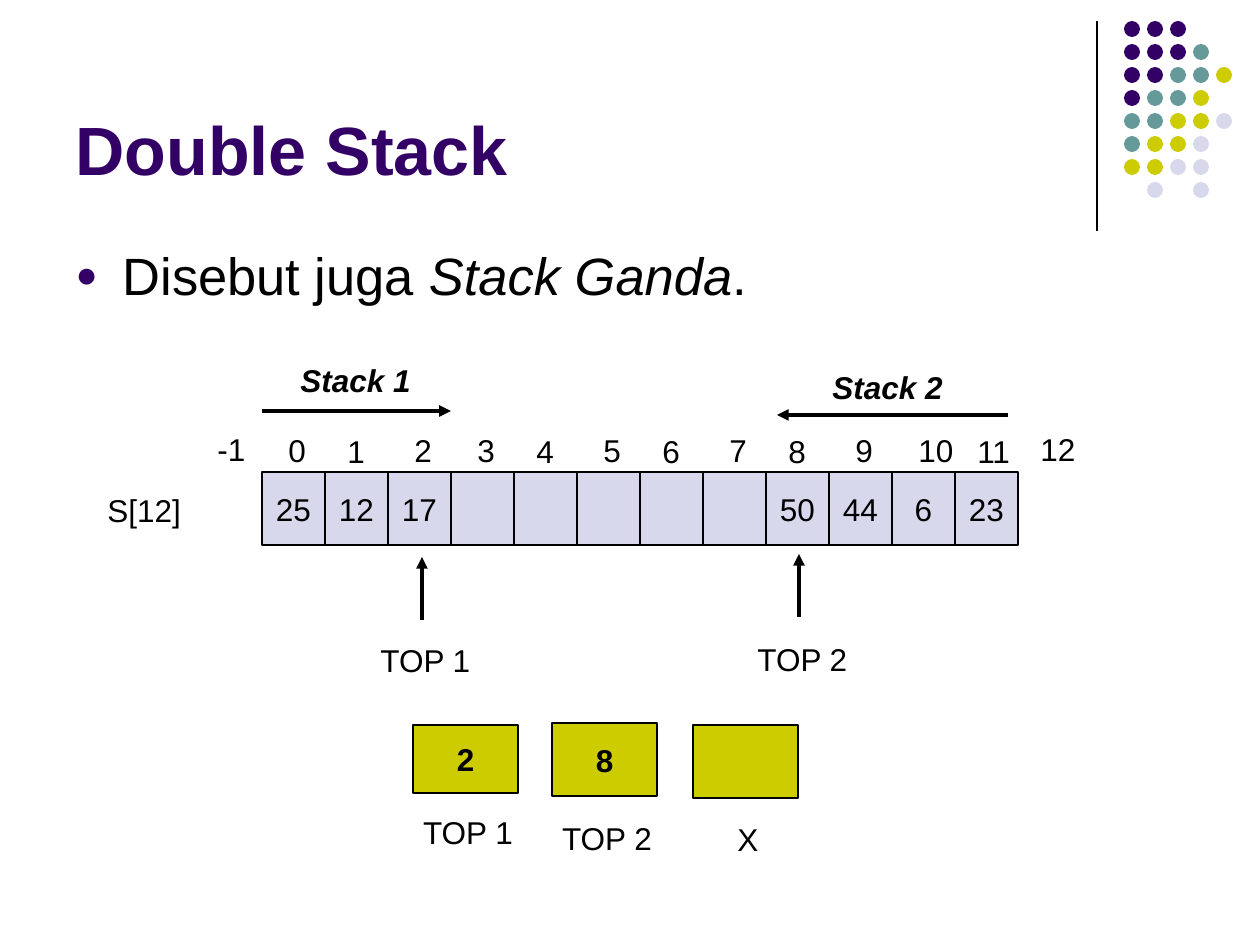
from dataclasses import dataclass

from lxml import etree
from pptx import Presentation
from pptx.dml.color import RGBColor
from pptx.enum.shapes import MSO_CONNECTOR, MSO_SHAPE
from pptx.enum.text import MSO_ANCHOR, MSO_AUTO_SIZE, PP_ALIGN
from pptx.oxml.ns import qn
from pptx.util import Pt

RECTANGLE, OVAL = MSO_SHAPE.RECTANGLE, MSO_SHAPE.OVAL
STRAIGHT = MSO_CONNECTOR.STRAIGHT
LEFT, CENTER = PP_ALIGN.LEFT, PP_ALIGN.CENTER
TOP, MIDDLE, BOTTOM = MSO_ANCHOR.TOP, MSO_ANCHOR.MIDDLE, MSO_ANCHOR.BOTTOM
NO_FIT, GROW = MSO_AUTO_SIZE.NONE, MSO_AUTO_SIZE.SHAPE_TO_FIT_TEXT


@dataclass(frozen=True)
class Theme:
    font: str = "Arial"
    title_size: int = 39
    body_size: int = 30
    label_size: int = 18
    thin: float = 0.75
    thick: float = 2.25
    black: str = "000000"
    purple: str = "330066"
    teal: str = "669999"
    olive: str = "CCCC00"
    lavender: str = "D8D8EC"


THEME = Theme()

# Content
TITLE = "Double Stack"
BODY = [("Disebut juga ", False), ("Stack Ganda", True), (".", False)]
CELLS = ["25", "12", "17", "", "", "", "", "", "50", "44", "6", "23"]
TIGHT_INDEXES = {1, 4, 6, 8, 11}  # index labels set slightly further left
SIDE_LABELS = [  # text, left, top, width
    ("S[12]", 95, 485, 108),
    ("-1", 205, 424, 56),
    ("12", 1028, 424, 63),
]
STACKS = [  # name, label left, label top, arrow start x, arrow end x, arrow y
    ("Stack 1", 288, 355, 262, 451, 411),
    ("Stack 2", 820, 362, 1008, 777, 415),
]
POINTERS = [  # name, label left, label top, arrow x, arrow top
    ("TOP 1", 368, 635, 422, 557),
    ("TOP 2", 745, 634, 799, 554),
]
VARIABLES = [  # name, value, box (left, top, height), label (left, top, width)
    ("TOP 1", "2", (413, 725, 68), (407, 807, 122)),
    ("X", "", (693, 725, 73), (699, 814, 98)),
    ("TOP 2", "8", (552, 723, 73), (546, 813, 122)),
]
DOTS = ["PPP", "PPPT", "PPTTO", "PTTO", "TTOOL", "TOOL", "OOLL", " L L"]
DOT_COLORS = {"P": THEME.purple, "T": THEME.teal, "O": THEME.olive, "L": THEME.lavender}

# Layout in px
SLIDE_SIZE = 1260, 945
DOT_ORIGIN, DOT_PITCH, DOT_SIZE = (1124, 21), 23, 16
ARRAY_LEFT, ARRAY_TOP, CELL_WIDTH, CELL_HEIGHT = 262, 472, 63, 73
LABEL_HEIGHT, NAME_WIDTH, STACK_WIDTH = 50, 122, 150
POINTER_LENGTH, VARIABLE_WIDTH = 63, 105
BODY_INDENT = 47


def px(value):
    return round(value * 914400 / 126)


def color(value):
    return RGBColor.from_string(value)


def style_font(font, size, fill=THEME.black, bold=False, italic=False):
    font.name, font.size, font.bold, font.italic = THEME.font, Pt(size), bold, italic
    font.color.rgb = color(fill)


def write(shape, text, align, anchor, wrap=False, bold=False, italic=False):
    frame = shape.text_frame
    frame.text = text
    frame.word_wrap = wrap
    frame.vertical_anchor = anchor
    paragraph = frame.paragraphs[0]
    paragraph.alignment = align
    for run in paragraph.runs:
        style_font(run.font, THEME.label_size, bold=bold, italic=italic)


def add_label(slide, text, left, top, width, align=LEFT, **style):
    box = slide.shapes.add_textbox(px(left), px(top), px(width), px(LABEL_HEIGHT))
    write(box, text, align, TOP, wrap=True, **style)
    box.text_frame.auto_size = GROW


def add_box(slide, text, left, top, width, height, fill, bold=False):
    box = slide.shapes.add_shape(RECTANGLE, px(left), px(top), px(width), px(height))
    box.shadow.inherit = False
    box.fill.solid()
    box.fill.fore_color.rgb = color(fill)
    box.line.color.rgb = color(THEME.black)
    box.line.width = Pt(THEME.thin)
    if text:
        write(box, text, CENTER, MIDDLE, bold=bold)


def add_line(slide, x1, y1, x2, y2, width, arrow_end=None):
    line = slide.shapes.add_connector(STRAIGHT, px(x1), px(y1), px(x2), px(y2))
    line.line.color.rgb = color(THEME.black)
    line.line.width = Pt(width)
    properties = line.element.spPr
    if arrow_end:
        etree.SubElement(properties.find(qn("a:ln")), qn(arrow_end), type="triangle")
    etree.SubElement(properties, qn("a:effectLst"))


def place(shape, left, top, width, height, anchor):
    shape.left, shape.top = px(left), px(top)
    shape.width, shape.height = px(width), px(height)
    shape.text_frame.vertical_anchor = anchor
    shape.text_frame.word_wrap = True
    shape.text_frame.auto_size = NO_FIT


def add_decoration(slide):
    add_line(slide, 1097, 21, 1097, 231, THEME.thin)
    for row, codes in enumerate(DOTS):
        for column, code in enumerate(codes):
            if code in DOT_COLORS:
                left = DOT_ORIGIN[0] + column * DOT_PITCH
                top = DOT_ORIGIN[1] + row * DOT_PITCH
                dot = slide.shapes.add_shape(
                    OVAL, px(left), px(top), px(DOT_SIZE), px(DOT_SIZE))
                dot.shadow.inherit = False
                dot.fill.solid()
                dot.fill.fore_color.rgb = color(DOT_COLORS[code])
                dot.line.fill.background()


def fill_placeholders(slide):
    title, body = slide.shapes.title, slide.placeholders[1]
    place(title, 63, 16, 1040, 179, BOTTOM)
    title.text_frame.text = TITLE
    paragraph = title.text_frame.paragraphs[0]
    paragraph.alignment = LEFT
    style_font(paragraph.runs[0].font, THEME.title_size, THEME.purple, bold=True)

    place(body, 63, 237, 1134, 607, TOP)
    paragraph = body.text_frame.paragraphs[0]
    paragraph.space_before = Pt(0)
    properties = paragraph._p.get_or_add_pPr()
    properties.set("marL", str(px(BODY_INDENT)))
    properties.set("indent", str(-px(BODY_INDENT)))
    bullet_color = etree.SubElement(properties, qn("a:buClr"))
    etree.SubElement(bullet_color, qn("a:srgbClr"), val=THEME.purple)
    etree.SubElement(properties, qn("a:buSzPct"), val="70000")
    etree.SubElement(properties, qn("a:buFont"), typeface=THEME.font)
    etree.SubElement(properties, qn("a:buChar"), char="●")
    for text, italic in BODY:
        run = paragraph.add_run()
        run.text = text
        style_font(run.font, THEME.body_size, italic=italic)


def add_array(slide):
    for index, value in enumerate(CELLS):
        left = ARRAY_LEFT + index * CELL_WIDTH
        add_box(slide, value, left, ARRAY_TOP, CELL_WIDTH, CELL_HEIGHT, THEME.lavender)
        dx, top = (10, 426) if index in TIGHT_INDEXES else (14, 425)
        add_label(slide, str(index), left + dx, top, 46 if index < 10 else 63)
    for label in SIDE_LABELS:
        add_label(slide, *label)


def add_stacks(slide):
    for name, left, top, start, end, y in STACKS:
        add_label(slide, name, left, top, STACK_WIDTH, bold=True, italic=True)
        add_line(slide, start, y, end, y, THEME.thick, "a:tailEnd")
    for name, left, top, x, y in POINTERS:
        add_line(slide, x, y, x, y + POINTER_LENGTH, THEME.thick, "a:headEnd")
        add_label(slide, name, left, top, NAME_WIDTH)


def add_variables(slide):
    for name, value, (left, top, height), label in VARIABLES:
        add_box(slide, value, left, top, VARIABLE_WIDTH, height, THEME.olive, bold=True)
        add_label(slide, name, *label, align=CENTER)


def main():
    presentation = Presentation()
    presentation.slide_width, presentation.slide_height = map(px, SLIDE_SIZE)
    slide = presentation.slides.add_slide(presentation.slide_layouts[1])
    fill_placeholders(slide)
    add_decoration(slide)
    add_array(slide)
    add_stacks(slide)
    add_variables(slide)
    presentation.save("out.pptx")


if __name__ == "__main__":
    main()
